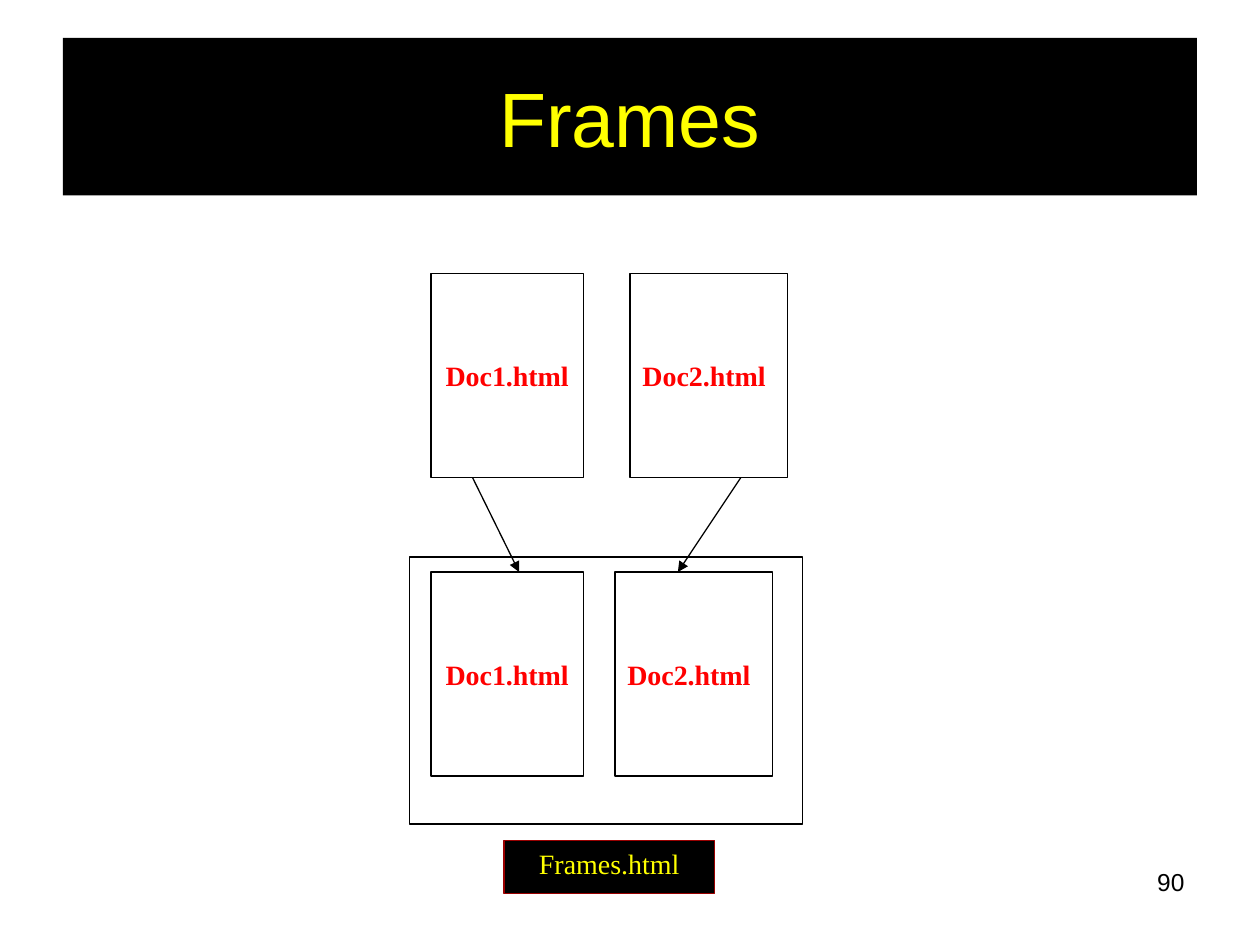
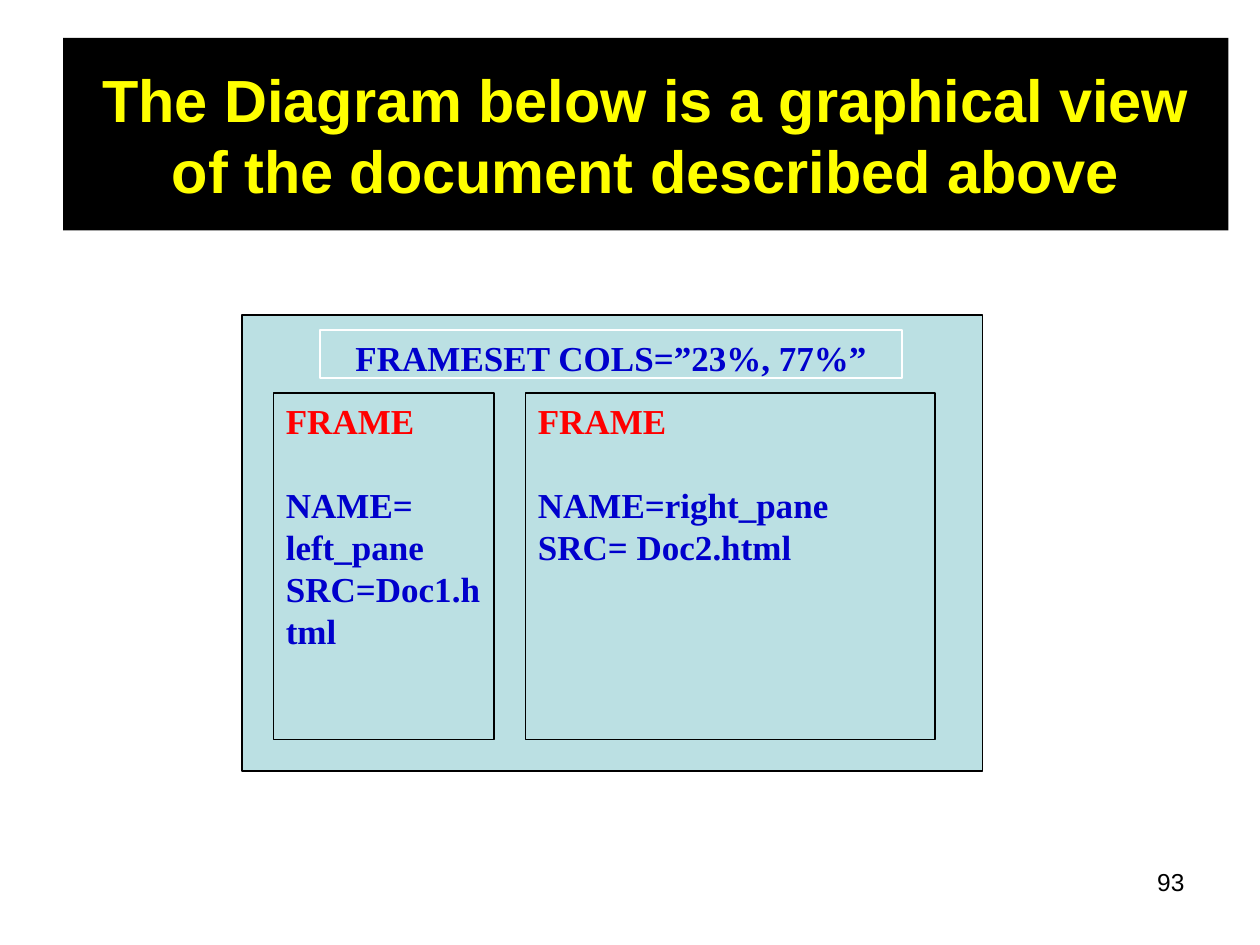
from pptx import Presentation
from pptx.dml.color import RGBColor
from pptx.enum.shapes import MSO_CONNECTOR, MSO_SHAPE
from pptx.enum.text import MSO_ANCHOR, PP_ALIGN
from pptx.oxml.ns import qn
from pptx.util import Inches, Pt
from lxml.etree import SubElement

COLORS = {
    "black": "000000", "white": "FFFFFF", "yellow": "FFFF00", "red": "FF0000",
    "dark_red": "990000", "blue": "0000CC", "pale_blue": "BBE0E3",
}
SANS, SERIF = "Arial", "Times New Roman"
LEFT, CENTER, RIGHT = PP_ALIGN.LEFT, PP_ALIGN.CENTER, PP_ALIGN.RIGHT
TOP, MIDDLE = MSO_ANCHOR.TOP, MSO_ANCHOR.MIDDLE


def rgb(name):
    return RGBColor.from_string(COLORS[name])


def add_box(slide, at, fill=None, line=None, lines=(), size=20, font=SERIF,
            bold=False, align=LEFT, anchor=TOP):
    """Add a rectangle; lines holds one (text, color) pair per paragraph."""
    box = slide.shapes.add_shape(MSO_SHAPE.RECTANGLE, *map(Inches, at))
    box.shadow.inherit = False
    if fill:
        box.fill.solid()
        box.fill.fore_color.rgb = rgb(fill)
    else:
        box.fill.background()
    if line:
        box.line.color.rgb = rgb(line)
        box.line.width = Pt(0.75)
    else:
        box.line.fill.background()
    frame = box.text_frame
    frame.word_wrap = True
    frame.vertical_anchor = anchor
    for i, (text, color) in enumerate(lines):
        paragraph = frame.add_paragraph() if i else frame.paragraphs[0]
        paragraph.alignment = align
        run = paragraph.add_run()
        run.text = text
        run.font.name, run.font.size, run.font.bold = font, Pt(size), bold
        run.font.color.rgb = rgb(color)
    return box


prs = Presentation()
prs.slide_width, prs.slide_height = Inches(10), Inches(7.5)

# Title band and page number of every slide
slides = []
for title, band_width, band_height, size, bold, page in [
    ("Frames", 9, 1.25, 44, False, "90"),
    ("The Diagram below is a graphical view of the document described above",
     9.25, 1.53, 34, True, "93"),
]:
    slide = prs.slides.add_slide(prs.slide_layouts[6])
    add_box(slide, (7.17, 6.83, 2.33, 0.52), lines=[(page, "black")],
            size=14, font=SANS, align=RIGHT)
    add_box(slide, (0.5, 0.3, band_width, band_height), "black",
            lines=[(title, "yellow")], size=size, font=SANS, bold=bold,
            align=CENTER, anchor=MIDDLE)
    slides.append(slide)
frames_slide, frameset_slide = slides

# Two documents shown together inside one frames page
source_top, framed_top, doc_height = 2.17, 4.54, 1.62
add_box(frames_slide, (3.25, 4.42, 3.12, 2.12), "white", "black")
for top, doc2_left in [(framed_top, 4.88), (source_top, 5)]:
    for name, left, width, align in [("Doc2.html", doc2_left, 1.25, LEFT),
                                     ("Doc1.html", 3.42, 1.21, CENTER)]:
        add_box(frames_slide, (left, top, width, doc_height), "white", "black",
                [(name, "red")], size=16, bold=True, align=align, anchor=MIDDLE)
add_box(frames_slide, (4, 6.67, 1.67, 0.42), "black", "dark_red",
        [("Frames.html", "yellow")], size=16, align=CENTER)

for start_x, end_x in [(3.75, 4.12), (5.88, 5.38)]:
    arrow = frames_slide.shapes.add_connector(
        MSO_CONNECTOR.STRAIGHT, Inches(start_x), Inches(source_top + doc_height),
        Inches(end_x), Inches(framed_top))
    arrow.line.color.rgb = rgb("black")
    arrow.line.width = Pt(0.75)
    SubElement(arrow.line._get_or_add_ln(), qn("a:tailEnd"), type="triangle")
    SubElement(arrow._element.spPr, qn("a:effectLst"))

# Frameset with its left and right panes
add_box(frameset_slide, (1.92, 2.5, 5.88, 3.62), "pale_blue", "black")
add_box(frameset_slide, (2.54, 2.62, 4.62, 0.38), "pale_blue", "white",
        [("FRAMESET COLS=”23%, 77%”", "blue")], bold=True, align=CENTER)
for left, width, name, src in [
    (4.17, 3.25, "NAME=right_pane", "SRC= Doc2.html"),
    (2.17, 1.75, "NAME= left_pane", "SRC=Doc1.html"),
]:
    pane = add_box(frameset_slide, (left, 3.12, width, 2.75), "pale_blue", "black",
                   [("FRAME", "red"), (name, "blue"), (src, "blue")], bold=True)
    pane.text_frame.paragraphs[0].space_after = Pt(24)

prs.save("out.pptx")
